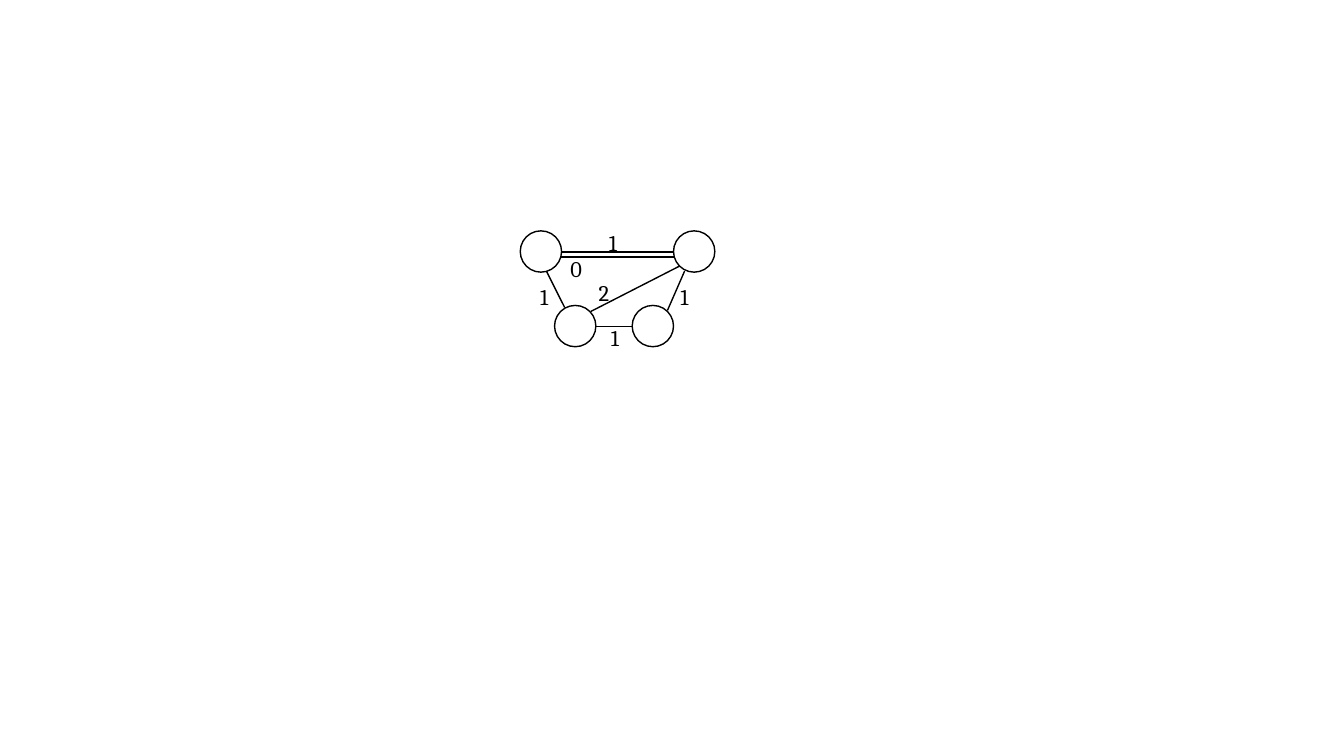
from pptx import Presentation
from pptx.dml.color import RGBColor
from pptx.enum.shapes import MSO_CONNECTOR, MSO_SHAPE
from pptx.enum.text import MSO_AUTO_SIZE
from pptx.util import Inches, Pt
from lxml import etree

COLORS = {"ink": "000000", "paper": "FFFFFF"}
NODE_SIZE = 0.41
LABEL_HEIGHT = 0.37
LABEL_FORMAT = {"name": "Cambria", "size": Pt(16)}

NODES = [(5.16, 2.29), (6.68, 2.29), (5.5, 3.03), (6.27, 3.03)]
EDGES = [
    (6.27, 3.24, 5.91, 3.24),
    (6.68, 2.5, 5.56, 2.5),
    (5.6, 3.05, 5.42, 2.69),
    (6.62, 3.08, 6.79, 2.69),
    (5.86, 3.09, 6.74, 2.64),
    (6.68, 2.55, 5.56, 2.55),
]
# Weight, left, top, width
WEIGHTS = [
    ("1", 5.96, 3.17, 0.24),
    ("1", 5.26, 2.76, 0.33),
    ("2", 5.84, 2.72, 0.33),
    ("0", 5.56, 2.48, 0.31),
    ("1", 5.94, 2.22, 0.34),
    ("1", 6.65, 2.76, 0.33),
]


def color(name):
    return RGBColor.from_string(COLORS[name])


def draw_outline(line):
    line.color.rgb = color("ink")
    line.width = Pt(1)


def add_node(page, left, top):
    node = page.shapes.add_shape(
        MSO_SHAPE.OVAL, Inches(left), Inches(top), Inches(NODE_SIZE), Inches(NODE_SIZE)
    )
    node.shadow.inherit = False
    node.fill.solid()
    node.fill.fore_color.rgb = color("paper")
    draw_outline(node.line)


def add_edge(page, *ends):
    edge = page.shapes.add_connector(MSO_CONNECTOR.STRAIGHT, *map(Inches, ends))
    draw_outline(edge.line)
    properties = edge._element.spPr
    namespace = properties.nsmap["a"]
    etree.SubElement(properties, f"{{{namespace}}}effectLst")


def add_weight(page, text, left, top, width):
    box = page.shapes.add_textbox(
        Inches(left), Inches(top), Inches(width), Inches(LABEL_HEIGHT)
    )
    frame = box.text_frame
    frame.word_wrap = True
    frame.auto_size = MSO_AUTO_SIZE.SHAPE_TO_FIT_TEXT
    span = frame.paragraphs[0].add_run()
    span.text = text
    for key, value in LABEL_FORMAT.items():
        setattr(span.font, key, value)
    span.font.color.rgb = color("ink")


def main():
    deck = Presentation()
    deck.slide_width, deck.slide_height = Inches(13.33), Inches(7.5)
    page = deck.slides.add_slide(deck.slide_layouts[6])
    for node in NODES:
        add_node(page, *node)
    for edge in EDGES:
        add_edge(page, *edge)
    for weight in WEIGHTS:
        add_weight(page, *weight)
    deck.save("out.pptx")


if __name__ == "__main__":
    main()
